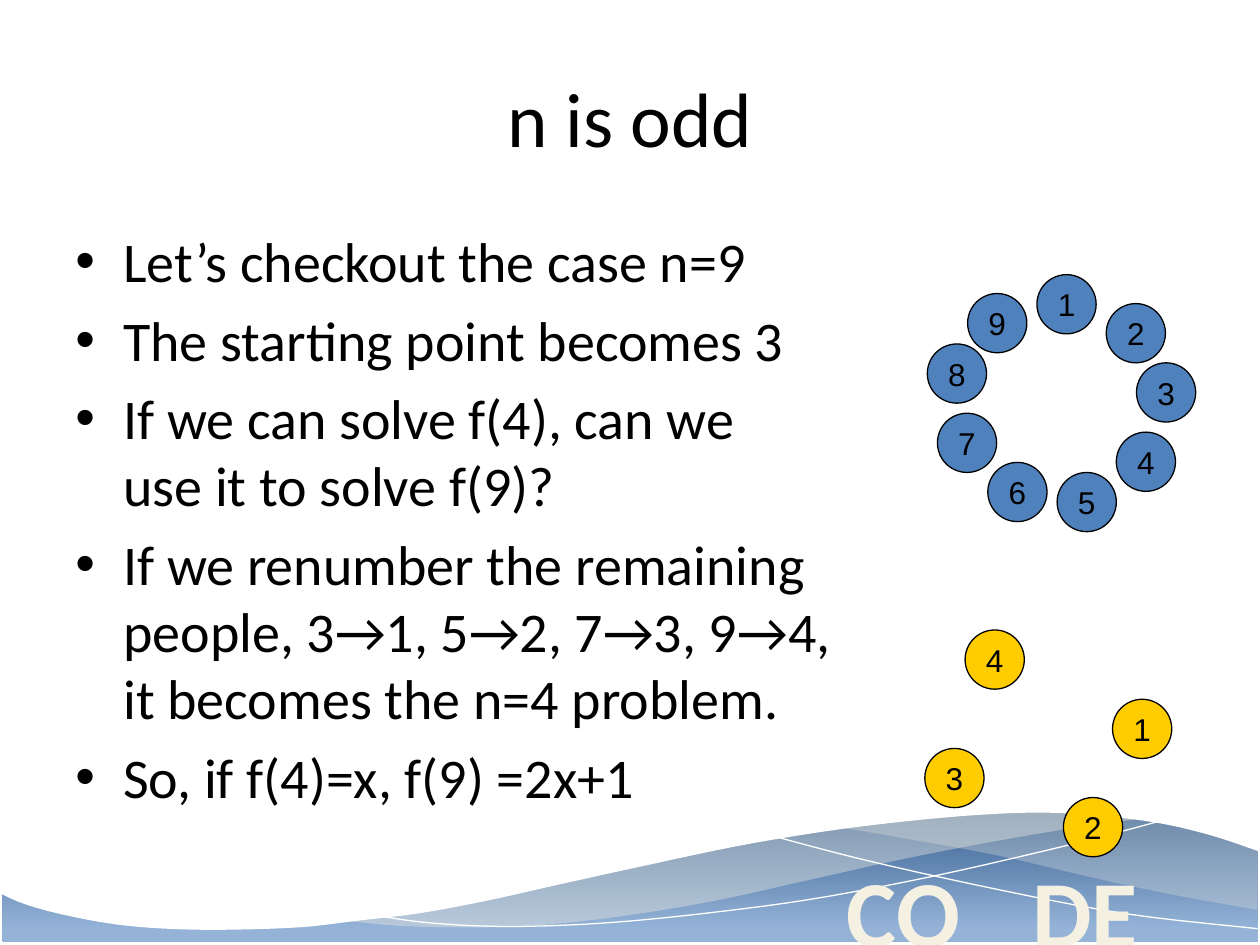
from lxml import etree
from pptx import Presentation
from pptx import util as u
from pptx.dml.color import RGBColor
from pptx.enum import shapes, text
from pptx.oxml.ns import qn

COLORS = {
    "black": "000000", "white": "FFFFFF", "cream": "EEECE1", "wordmark": "F4F1E3",
    "deep_blue": "376092", "pale_blue": "95B3D7", "blue": "4F81BD", "yellow": "FFCC00",
}
COLORS = {name: RGBColor.from_string(value) for name, value in COLORS.items()}


def smooth(points, steps=5):
    """Return points along a Catmull-Rom curve through the given points."""
    padded = [points[0], *points, points[-1]]
    curve = []
    for a, b, c, d in zip(padded, padded[1:], padded[2:], padded[3:]):
        for step in range(steps):
            t = step / steps
            curve.append(tuple(
                (2 * q + (r - p) * t + (2 * p - 5 * q + 4 * r - s) * t**2
                 + (3 * q - p - 3 * r + s) * t**3) / 2
                for p, q, r, s in zip(a, b, c, d)
            ))
    return curve + [points[-1]]


def add_outline(points, close):
    corners = [(u.Inches(x), u.Inches(y)) for x, y in points]
    builder = page.shapes.build_freeform(*corners[0])
    builder.add_line_segments(corners[1:], close=close)
    outline = builder.convert_to_shape()
    outline.shadow.inherit = False
    return outline


deck = Presentation()
deck.slide_width, deck.slide_height = u.Inches(10), u.Inches(7.5)
page = deck.slides.add_slide(deck.slide_layouts[6])

# Blue band at the foot of the page
band = page.shapes.add_shape(
    shapes.MSO_SHAPE.ROUNDED_RECTANGLE,
    u.Inches(0.02), u.Inches(6.43), u.Inches(9.97), u.Inches(1.05))
band.adjustments[0] = 0.03
band.shadow.inherit = False
band.line.fill.background()
band.fill.gradient()
band.fill.gradient_angle = 270
for stop, position, name in zip(band.fill.gradient_stops, (0, 0.9), ("deep_blue", "pale_blue")):
    stop.position = position
    stop.color.rgb = COLORS[name]

# Translucent waves
right_wave = (
    smooth([(9.98, 7.22), (9.41, 7.12), (8.78, 6.99), (7.92, 6.79), (7.16, 6.65), (6.69, 6.57)])
    + smooth([(6.69, 6.57), (7.15, 6.51), (7.69, 6.46), (8.18, 6.44), (8.71, 6.46),
              (9.16, 6.52), (9.56, 6.6), (9.99, 6.75)])
)
middle_wave = (
    smooth([(9.12, 6.49), (8.53, 6.57), (7.88, 6.68), (7.16, 6.82), (6.35, 7), (5.72, 7.14),
            (5.15, 7.24), (4.63, 7.31), (4.16, 7.35), (3.74, 7.36), (3.2, 7.35), (2.76, 7.31)])
    + smooth([(2.76, 7.31), (3.34, 7.23), (4, 7.11), (4.47, 7), (5.31, 6.82), (6.06, 6.67),
              (6.73, 6.56), (7.33, 6.48), (7.86, 6.44), (8.33, 6.43), (8.75, 6.45), (9.12, 6.49)])
)
for points, opacity in ((right_wave, 29), (middle_wave, 40)):
    wave = add_outline(points, close=True)
    wave.line.fill.background()
    wave.fill.solid()
    wave.fill.fore_color.rgb = COLORS["cream"]
    color = wave.fill._xPr.find(".//" + qn("a:srgbClr"))
    etree.SubElement(color, qn("a:alpha"), val=str(opacity * 1000))

# Thin white crossing lines
rising = [(3, 7.27), (3.36, 7.32), (3.82, 7.35), (4.29, 7.35), (4.88, 7.32), (5.59, 7.25),
          (6.42, 7.14), (7.38, 6.96), (8.47, 6.71), (9.27, 6.5)]
falling = [(6.19, 6.65), (6.8, 6.81), (7.59, 6.99), (8.52, 7.18), (9.14, 7.28), (9.98, 7.37)]
for points in (rising, falling):
    strand = add_outline(smooth(points), close=False)
    strand.fill.background()
    strand.line.color.rgb = COLORS["white"]
    strand.line.width = u.Pt(0)

# White sky that cuts the band into a hill
hill = [(10, 6.76), (9.61, 6.63), (9.18, 6.53), (8.67, 6.47), (8.23, 6.45), (7.74, 6.47),
        (7.18, 6.52), (6.54, 6.6), (5.83, 6.72), (5.03, 6.89), (4.44, 7.02), (3.86, 7.15),
        (3.32, 7.25), (2.82, 7.31), (2.38, 7.36), (1.78, 7.38), (1.29, 7.37), (0.87, 7.33),
        (0.46, 7.25), (0.18, 7.17), (0, 7.09)]
sky = add_outline(smooth(hill) + [(0, 5.93), (10, 5.93)], close=True)
sky.line.fill.background()
sky.fill.solid()
sky.fill.fore_color.rgb = COLORS["white"]

# Wordmark, title and bullets
bullets = [
    "Let’s checkout the case n=9",
    "The starting point becomes 3",
    "If we can solve f(4), can we\nuse it to solve f(9)?",
    "If we renumber the remaining\npeople, 3→1, 5→2, 7→3, 9→4,\nit becomes the n=4 problem.",
    "So, if f(4)=x, f(9) =2x+1",
]
TOP, MIDDLE = text.MSO_ANCHOR.TOP, text.MSO_ANCHOR.MIDDLE
LEFT, CENTER = text.PP_ALIGN.LEFT, text.PP_ALIGN.CENTER
texts = [
    ((6.6, 6.72, 1.14, 0.75), ["CO"], 54, "wordmark", TOP, CENTER),
    ((8.04, 6.72, 1.14, 0.75), ["DE"], 54, "wordmark", TOP, CENTER),
    ((0.5, 0.3, 9, 1.25), ["n is odd"], 44, "black", MIDDLE, CENTER),
    ((0.5, 1.75, 9, 4.95), bullets, 32, "black", TOP, LEFT),
]
for place, lines, size, color, anchor, align in texts:
    box = page.shapes.add_textbox(*map(u.Inches, place))
    frame = box.text_frame
    frame.word_wrap = True
    frame.vertical_anchor = anchor
    for index, line in enumerate(lines):
        para = frame.paragraphs[0] if index == 0 else frame.add_paragraph()
        para.text = line
        para.alignment = align
        para.font.name = "Calibri"
        para.font.size = u.Pt(size)
        para.font.bold = color == "wordmark"
        para.font.color.rgb = COLORS[color]
        if lines is bullets:
            para.space_before = u.Pt(6.4)
            props = para._p.get_or_add_pPr()
            props.set("marL", str(u.Inches(0.38)))
            props.set("indent", str(u.Inches(-0.38)))
            etree.SubElement(props, qn("a:buFont"), typeface="Arial")
            etree.SubElement(props, qn("a:buChar"), char="•")
            props.append(props.find(qn("a:defRPr")))

# Numbered people: the full circle, then the renumbered survivors
circles = {
    "blue": [(8.23, 2.18), (8.78, 2.41), (9.02, 2.88), (8.86, 3.43), (8.39, 3.75),
             (7.84, 3.67), (7.44, 3.28), (7.36, 2.73), (7.68, 2.33)],
    "yellow": [(8.83, 5.55), (8.44, 6.33), (7.34, 5.94), (7.66, 5)],
}
for color, places in circles.items():
    for number, (left, top) in enumerate(places, start=1):
        person = page.shapes.add_shape(
            shapes.MSO_SHAPE.OVAL,
            u.Inches(left), u.Inches(top), u.Inches(0.47), u.Inches(0.47))
        person.shadow.inherit = False
        person.fill.solid()
        person.fill.fore_color.rgb = COLORS[color]
        person.line.color.rgb = COLORS["black"]
        person.line.width = u.Pt(0.75)
        frame = person.text_frame
        frame.word_wrap = False
        frame.vertical_anchor = MIDDLE
        para = frame.paragraphs[0]
        para.text = str(number)
        para.alignment = CENTER
        para.font.name = "Arial"
        para.font.size = u.Pt(18)
        para.font.color.rgb = COLORS["black"]

deck.save("out.pptx")
